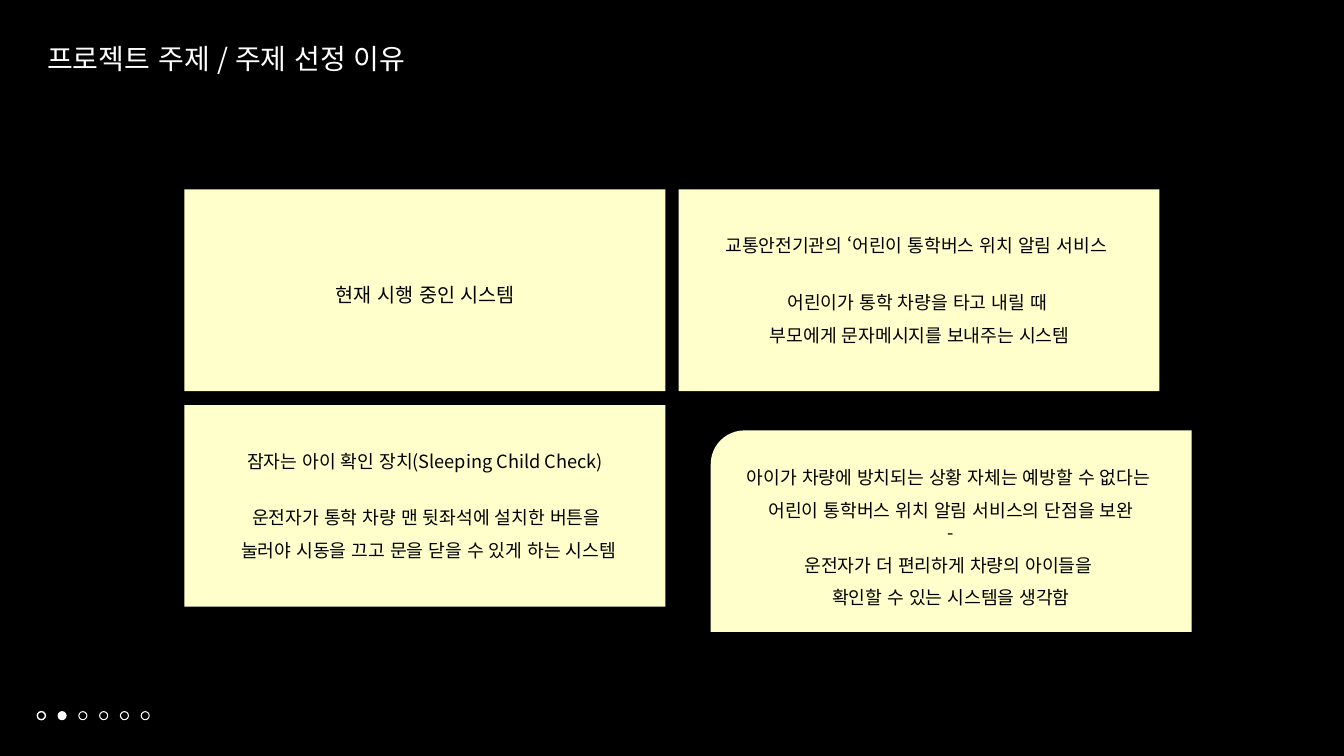
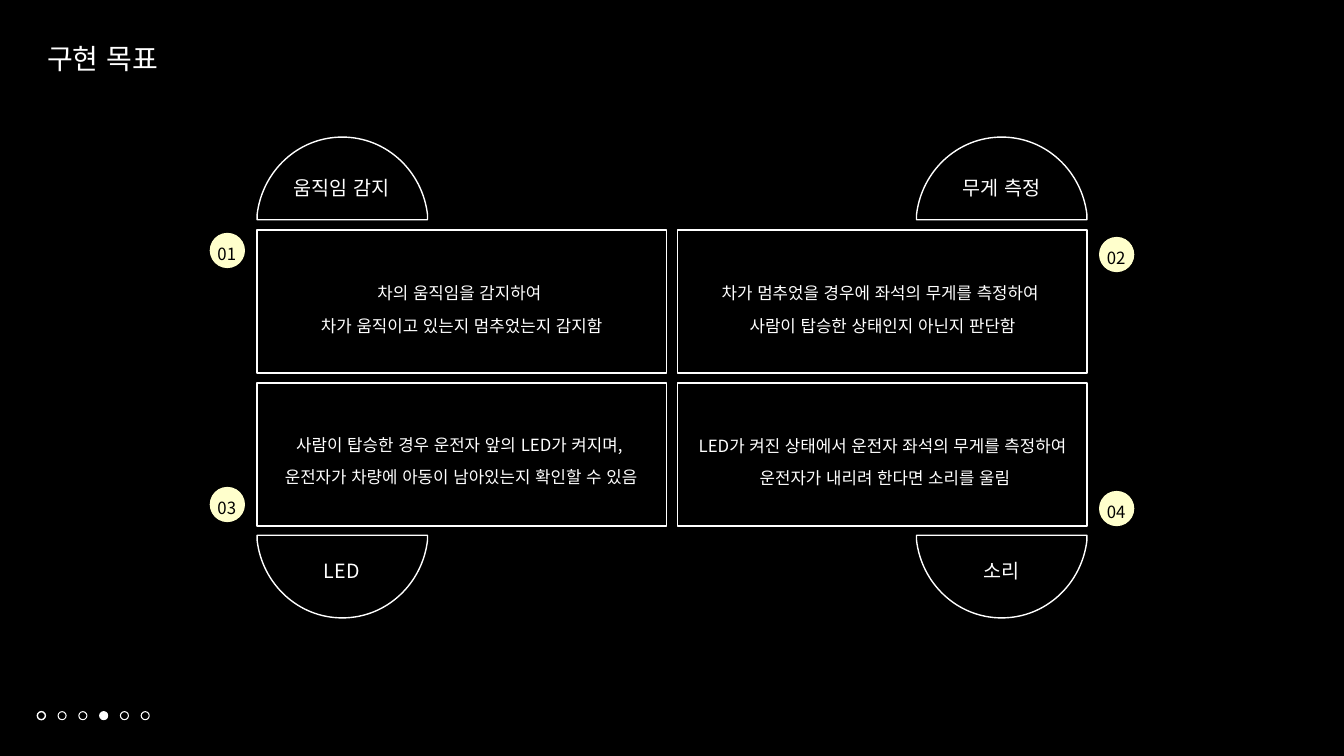
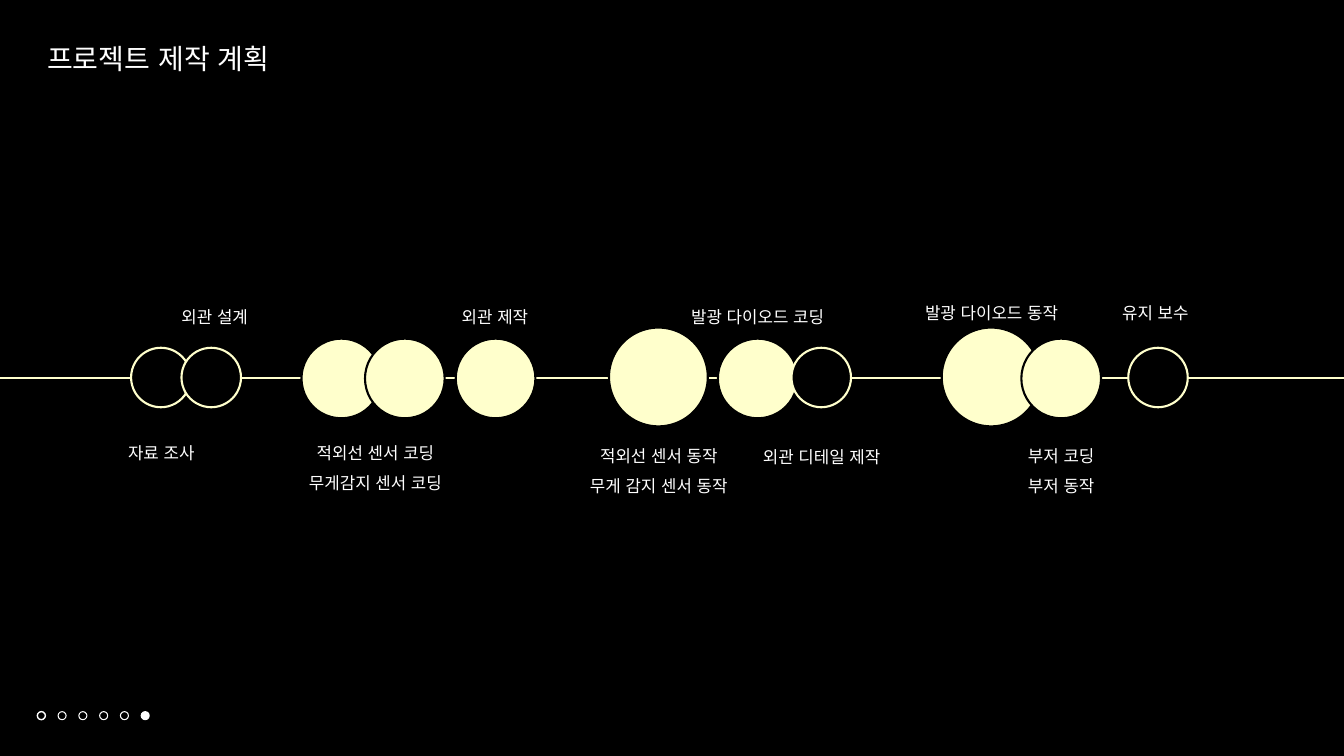
from dataclasses import dataclass

import pptx
import pptx.dml.color
import pptx.enum.lang
import pptx.enum.shapes
import pptx.enum.text
import pptx.oxml
import pptx.oxml.ns
import pptx.util

Inches = pptx.util.Inches
Pt = pptx.util.Pt
RGB = pptx.dml.color.RGBColor
SHAPE = pptx.enum.shapes.MSO_SHAPE
ALIGN = pptx.enum.text.PP_ALIGN
NS = pptx.oxml.ns.nsdecls("a")


@dataclass(frozen=True)
class Theme:
    font: str = "Noto Sans CJK KR"
    black: RGB = RGB(0x00, 0x00, 0x00)
    white: RGB = RGB(0xFF, 0xFF, 0xFF)
    cream: RGB = RGB(0xFF, 0xFF, 0xCC)
    title: int = 20
    heading: int = 14
    card: int = 13
    body: int = 12


THEME = Theme()
SLIDE_W, SLIDE_H = 13.33, 7.5
DOT_COUNT = 6


def style_paragraph(p, size, color, spacing, align):
    p.alignment = align
    p.line_spacing = spacing
    p.font.size = Pt(size)
    p.font.color.rgb = color
    p.font.name = THEME.font
    p.font.language_id = pptx.enum.lang.MSO_LANGUAGE_ID.KOREAN
    # East Asian text takes its typeface from a:ea, which has no public setter
    props = p._p.get_or_add_pPr().get_or_add_defRPr()
    props.append(pptx.oxml.parse_xml(f'<a:ea {NS} typeface="{THEME.font}"/>'))


def write(sp, lines, size, color, spacing=1.0, align=ALIGN.CENTER, wrap=False):
    """Fill a shape with one paragraph per line and return its text frame."""
    tf = sp.text_frame
    tf.word_wrap = wrap
    tf.auto_size = pptx.enum.text.MSO_AUTO_SIZE.SHAPE_TO_FIT_TEXT
    tf.vertical_anchor = pptx.enum.text.MSO_ANCHOR.TOP
    for i, line in enumerate(lines):
        p = tf.add_paragraph() if i else tf.paragraphs[0]
        p.text = line
        style_paragraph(p, size, color, spacing, align)
    return tf


def paint(sp, fill=None, line=None, width=1):
    sp.shadow.inherit = False
    if fill is None:
        sp.fill.background()
    else:
        sp.fill.solid()
        sp.fill.fore_color.rgb = fill
    if line is None:
        sp.line.fill.background()
    else:
        sp.line.color.rgb = line
        sp.line.width = Pt(width)


def add_shape(slide, kind, x, y, w, h, fill=None, line=None, width=1):
    sp = slide.shapes.add_shape(kind, Inches(x), Inches(y), Inches(w), Inches(h))
    paint(sp, fill, line, width)
    return sp


def add_label(slide, x, y, w, h, lines, size, spacing=1.0, color=THEME.white,
              align=ALIGN.CENTER, wrap=False):
    box = slide.shapes.add_textbox(Inches(x), Inches(y), Inches(w), Inches(h))
    write(box, lines, size, color, spacing, align, wrap)


def add_page_dots(slide, active):
    for i in range(DOT_COUNT):
        fill = THEME.white if i + 1 == active else None
        add_shape(slide, SHAPE.OVAL, 0.37 + i * 0.206, 7.06, 0.08, 0.08,
                  fill, THEME.white, 0.75 if i else 1)


def new_slide(prs, title, title_width, page):
    slide = prs.slides.add_slide(prs.slide_layouts[6])
    slide.background.fill.solid()
    slide.background.fill.fore_color.rgb = THEME.black
    add_label(slide, 0.37, 0.36, title_width, 0.44, [title], THEME.title, align=ALIGN.LEFT)
    add_page_dots(slide, page)
    return slide


def add_card(slide, x, y, kind=SHAPE.RECTANGLE):
    return add_shape(slide, kind, x, y, 4.77, 2, THEME.cream)


def add_card_text(slide, x, y, w, h, lines, size=THEME.card, spacing=1.0, wrap=False):
    sp = add_shape(slide, SHAPE.RECTANGLE, x, y, w, h, THEME.cream)
    return write(sp, lines, size, THEME.black, spacing, wrap=wrap)


def add_dome(slide, x, y, up):
    """Draw a half round outline, flat side down when up is true."""
    w, h = 1.69, 0.82

    def at(dx, dy):
        return Inches(dx), Inches(dy if up else h - dy)

    apex, shoulder = at(w / 2, 0), 0.77
    corners = [at(w, shoulder), at(w, h), at(0, h), at(0, shoulder), apex]
    builder = slide.shapes.build_freeform(*apex)
    builder.add_line_segments(corners, close=True)
    sp = builder.convert_to_shape(Inches(x), Inches(y))
    paint(sp, line=THEME.white)
    # The freeform builder draws straight segments only, so bend the two sides
    segments = list(sp._element.iter(pptx.oxml.ns.qn("a:lnTo")))
    right = [at(w / 2 + 0.44, 0), at(w - 0.05, 0.34), corners[0]]
    left = [at(0.05, 0.34), at(w / 2 - 0.44, 0), apex]
    for segment, points in ((segments[0], right), (segments[4], left)):
        pts = "".join(f'<a:pt x="{px}" y="{py}"/>' for px, py in points)
        curve = pptx.oxml.parse_xml(f"<a:cubicBezTo {NS}>{pts}</a:cubicBezTo>")
        segment.getparent().replace(segment, curve)


def add_badge(slide, x, y, number):
    add_shape(slide, SHAPE.OVAL, x, y, 0.35, 0.35, THEME.cream)
    add_label(slide, x - 0.065, y - 0.065, 0.47, 0.39, [f"{number:02d}"],
              THEME.body, 1.6, THEME.black, wrap=True)


def add_milestone(slide, x, y, size, done):
    fill, line = (THEME.cream, THEME.black) if done else (THEME.black, THEME.cream)
    add_shape(slide, SHAPE.OVAL, x, y, size, size, fill, line, 1.5)


def add_timeline(slide):
    axis = Inches(SLIDE_H / 2)
    line = slide.shapes.add_connector(pptx.enum.shapes.MSO_CONNECTOR.STRAIGHT,
                                      0, axis, Inches(SLIDE_W), axis)
    line.line.color.rgb = THEME.cream
    line.line.width = Pt(1)
    line._element.spPr.append(pptx.oxml.parse_xml(f"<a:effectLst {NS}/>"))


def build_reasons(prs):
    slide = new_slide(prs, "프로젝트 주제 / 주제 선정 이유", 3.96, 2)
    left, right, top, bottom = 1.83, 6.73, 1.88, 4.02

    idea_card = add_card(slide, 7.05, 4.27, SHAPE.ROUND_1_RECTANGLE)
    idea_card._element.spPr.xfrm.set("flipH", "1")
    idea = add_card_text(slide, 7.09, 4.47, 4.68, 1.6, [
        "아이가 차량에 방치되는 상황 자체는 예방할 수 없다는 ",
        "어린이 통학버스 위치 알림 서비스의 단점을 보완",
        "-",
        "운전자가 더 편리하게 차량의 아이들을 ",
        "확인할 수 있는 시스템을 생각함",
    ], spacing=1.5, wrap=True)
    idea.paragraphs[2].line_spacing = 1.0

    for x, y in ((left, bottom), (left, top), (right, top)):
        add_card(slide, x, y)
    add_card_text(slide, 3.21, 2.76, 2.02, 0.34, ["현재 시행 중인 시스템"], THEME.heading)
    add_card_text(slide, 7.03, 2.28, 4.11, 0.32,
                  ["교통안전기관의 ‘어린이 통학버스 위치 알림 서비스"])
    add_card_text(slide, 7.48, 2.73, 3.28, 0.73,
                  ["어린이가 통학 차량을 타고 내릴 때 ",
                   "부모에게 문자메시지를 보내주는 시스템"], spacing=1.5)
    add_card_text(slide, 2.21, 4.42, 4.01, 0.32,
                  ["잠자는 아이 확인 장치(Sleeping Child Check)"])
    add_card_text(slide, 2.24, 4.87, 4.02, 0.73,
                  ["운전자가 통학 차량 맨 뒷좌석에 설치한 버튼을 ",
                   "눌러야 시동을 끄고 문을 닫을 수 있게 하는 시스템"], spacing=1.5)


def build_goals(prs):
    slide = new_slide(prs, "구현 목표", 1.34, 4)
    # name, name box (x, width), badge (x, y), text box (x, y, width), lines
    goals = [
        ("움직임 감지", (2.8, 1.18), (2.08, 2.31), (3.04, 2.64, 3.08),
         ["차의 움직임을 감지하여 ", "차가 움직이고 있는지 멈추었는지 감지함"]),
        ("무게 측정", (9.44, 0.99), (10.9, 2.35), (7.02, 2.64, 3.47),
         ["차가 멈추었을 경우에 좌석의 무게를 측정하여 ", "사람이 탑승한 상태인지 아닌지 판단함"]),
        ("LED", (3.09, 0.6), (2.08, 4.83), (2.68, 4.14, 3.79),
         ["사람이 탑승한 경우 운전자 앞의 LED가 켜지며, ",
          "운전자가 차량에 아동이 남아있는지 확인할 수 있음"]),
        ("소리", (9.65, 0.57), (10.9, 4.87), (6.77, 4.15, 3.97),
         ["LED가 켜진 상태에서 운전자 좌석의 무게를 측정하여", " 운전자가 내리려 한다면 소리를 울림"]),
    ]
    for i, (name, (name_x, name_w), badge, (x, y, w), lines) in enumerate(goals):
        row, col = divmod(i, 2)
        add_dome(slide, 2.55 + col * 6.54, 1.36 + row * 3.95, up=row == 0)
        add_shape(slide, SHAPE.RECTANGLE, 2.55 + col * 4.17, 2.28 + row * 1.52,
                  4.06, 1.42, line=THEME.white)
        add_label(slide, name_x, 1.56 + row * 3.8, name_w, 0.44, [name], THEME.heading, 1.6)
        add_label(slide, x, y, w, 0.71, lines, THEME.body, 1.6)
        add_badge(slide, *badge, i + 1)


def build_plan(prs):
    slide = new_slide(prs, "프로젝트 제작 계획", 2.47, 6)
    add_timeline(slide)
    small, medium, large = 0.59, 0.79, 0.98
    tops = {small: 3.45, medium: 3.36, large: 3.25}
    milestones = [
        (1.3, small), (1.8, small),
        (2.99, medium), (3.62, medium), (4.52, medium),
        (6.04, large), (7.12, medium), (7.85, small),
        (9.34, large), (10.13, medium), (11.19, small),
    ]
    for x, size in milestones:
        add_milestone(slide, x, tops[size], size, done=size > small)
    tasks = [
        (1.07, 4.24, 1.06, ["자료 조사"]),
        (1.6, 2.89, 1.06, ["외관 설계"]),
        (2.81, 4.24, 1.83, ["적외선 센서 코딩", "무게감지 센서 코딩"]),
        (4.38, 2.89, 1.06, ["외관 제작"]),
        (5.62, 4.27, 1.83, ["적외선 센서 동작", "무게 감지 센서 동작"]),
        (6.6, 2.89, 1.83, ["발광 다이오드 코딩"]),
        (7.45, 4.28, 1.4, ["외관 디테일 제작"]),
        (8.92, 2.85, 1.83, ["발광 다이오드 동작"]),
        (9.95, 4.27, 1.15, ["부저 코딩", "부저 동작"]),
        (10.93, 2.85, 1.06, ["유지 보수"]),
    ]
    for x, y, w, lines in tasks:
        add_label(slide, x, y, w, 0.06 + 0.31 * len(lines), lines, THEME.body, 1.5, wrap=True)


def main():
    prs = pptx.Presentation()
    prs.slide_width = Inches(SLIDE_W)
    prs.slide_height = Inches(SLIDE_H)
    build_reasons(prs)
    build_goals(prs)
    build_plan(prs)
    prs.save("out.pptx")


if __name__ == "__main__":
    main()
